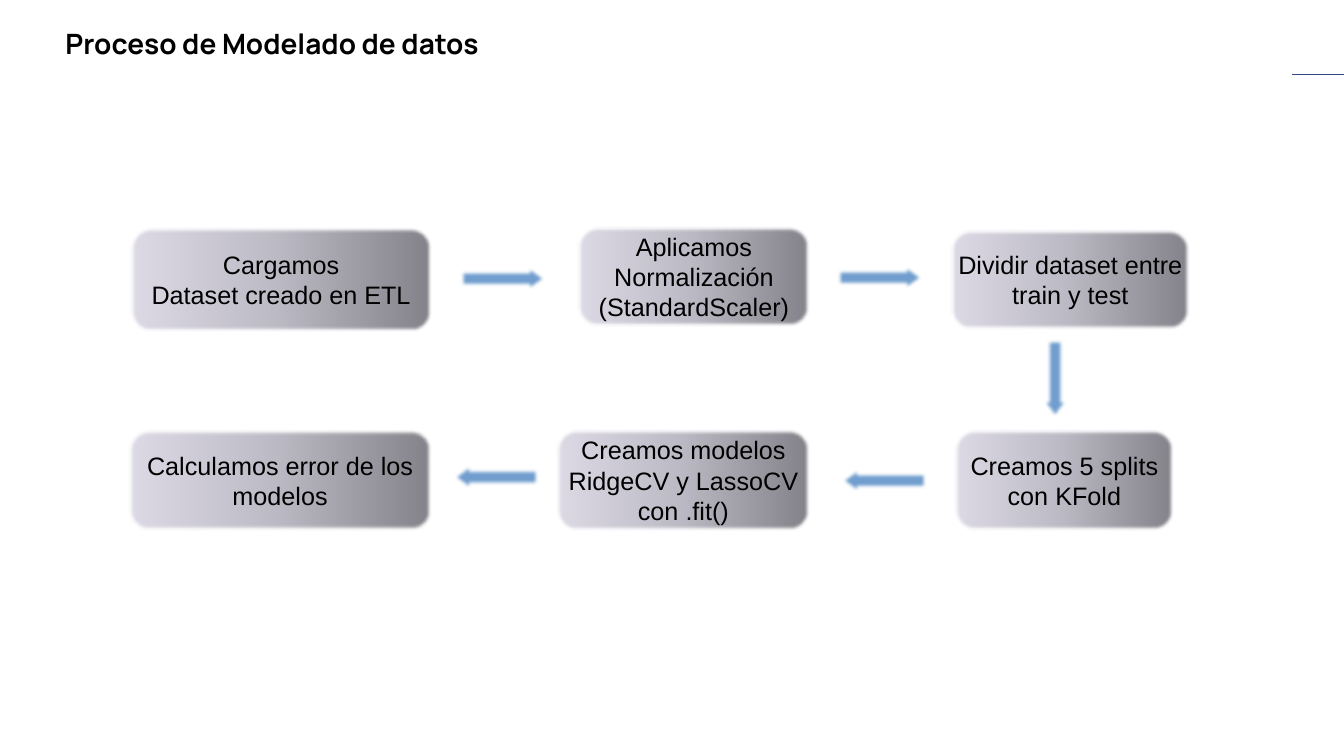
from copy import deepcopy
from lxml import etree
from pptx import Presentation
from pptx.dml.color import RGBColor
from pptx.enum.shapes import MSO_CONNECTOR, MSO_SHAPE
from pptx.enum.text import MSO_ANCHOR, PP_ALIGN
from pptx.oxml.ns import qn
from pptx.util import Cm, Pt

ROUND = MSO_SHAPE.ROUNDED_RECTANGLE
RIGHT = MSO_SHAPE.RIGHT_ARROW
LEFT = MSO_SHAPE.LEFT_ARROW
DOWN = MSO_SHAPE.DOWN_ARROW
LINE = MSO_CONNECTOR.STRAIGHT
MID = MSO_ANCHOR.MIDDLE
CENTER = PP_ALIGN.CENTER


def tint(code):
    return RGBColor.from_string(code)


def add_soft(kind, left, top, wide, high):
    item = slide.shapes.add_shape(kind, Cm(left), Cm(top), Cm(wide), Cm(high))
    item.shadow.inherit = False
    item.line.color.rgb = tint("3465A4")
    item.line.width = Pt(0.75)
    glow = item._element.spPr.find(qn("a:effectLst"))
    etree.SubElement(glow, qn("a:softEdge")).set("rad", str(Pt(2.5)))
    return item


deck = Presentation()
deck.slide_width = Cm(33.87)
deck.slide_height = Cm(19.05)
slide = deck.slides.add_slide(deck.slide_layouts[6])

rule = slide.shapes.add_connector(LINE, Cm(32.56), Cm(1.88), Cm(33.87), Cm(1.88))
rule.line.color.rgb = tint("304884")
rule.line.width = Pt(0.75)
etree.SubElement(rule._element.spPr, qn("a:effectLst"))

title = slide.shapes.add_textbox(Cm(1.65), Cm(0.76), Cm(22.58), Cm(0.76))
frame = title.text_frame
look = {"word_wrap": True, "vertical_anchor": MID, "margin_left": 0,
        "margin_right": 0, "margin_top": 0, "margin_bottom": 0}
for name, value in look.items():
    setattr(frame, name, value)
frame.text = "Proceso de Modelado de datos"
head = frame.paragraphs[0]
head.line_spacing = 0.9
for name, value in {"name": "Manrope", "size": Pt(20), "bold": True}.items():
    setattr(head.font, name, value)
head.font.color.rgb = tint("000000")

steps = [
    (3.3, 5.74, 7.57, 2.59, "Cargamos\nDataset creado en ETL"),
    (14.58, 5.72, 5.82, 2.5, "Aplicamos\nNormalización\n(StandardScaler)"),
    (23.98, 5.79, 5.99, 2.5, "Dividir dataset entre\ntrain y test"),
    (24.08, 10.85, 5.49, 2.5, "Creamos 5 splits\ncon KFold"),
    (14.05, 10.85, 6.35, 2.5, "Creamos modelos\nRidgeCV y LassoCV\ncon .fit()"),
    (3.25, 10.85, 7.62, 2.5, "Calculamos error de los\nmodelos"),
]
shades = [(0, "DEDBE7"), (0.5, "BBB9C3"), (1, "838289")]
for left, top, wide, high, words in steps:
    box = add_soft(ROUND, left, top, wide, high)
    box.fill.gradient()
    box.fill.gradient_angle = 0
    first = box._element.spPr.find(".//" + qn("a:gs"))
    first.addnext(deepcopy(first))
    for stop, (place, code) in zip(box.fill.gradient_stops, shades):
        stop.position = place
        stop.color.rgb = tint(code)
    frame = box.text_frame
    frame.word_wrap = False
    frame.vertical_anchor = MID
    frame.text = words
    for para in frame.paragraphs:
        para.alignment = CENTER
        for name, value in {"name": "Arial", "size": Pt(18)}.items():
            setattr(para.font, name, value)
        para.font.color.rgb = tint("000000")

arrows = [
    (RIGHT, 11.63, 6.63, 2.21, 0.79),
    (RIGHT, 21.13, 6.6, 2.21, 0.79),
    (DOWN, 26.19, 8.56, 0.79, 2.06),
    (LEFT, 21.13, 11.71, 2.21, 0.79),
    (LEFT, 11.35, 11.63, 2.21, 0.79),
]
for kind, left, top, wide, high in arrows:
    arrow = add_soft(kind, left, top, wide, high)
    arrow.fill.solid()
    arrow.fill.fore_color.rgb = tint("729FCF")
    arrow.adjustments[1] = 0.7

deck.save("out.pptx")
